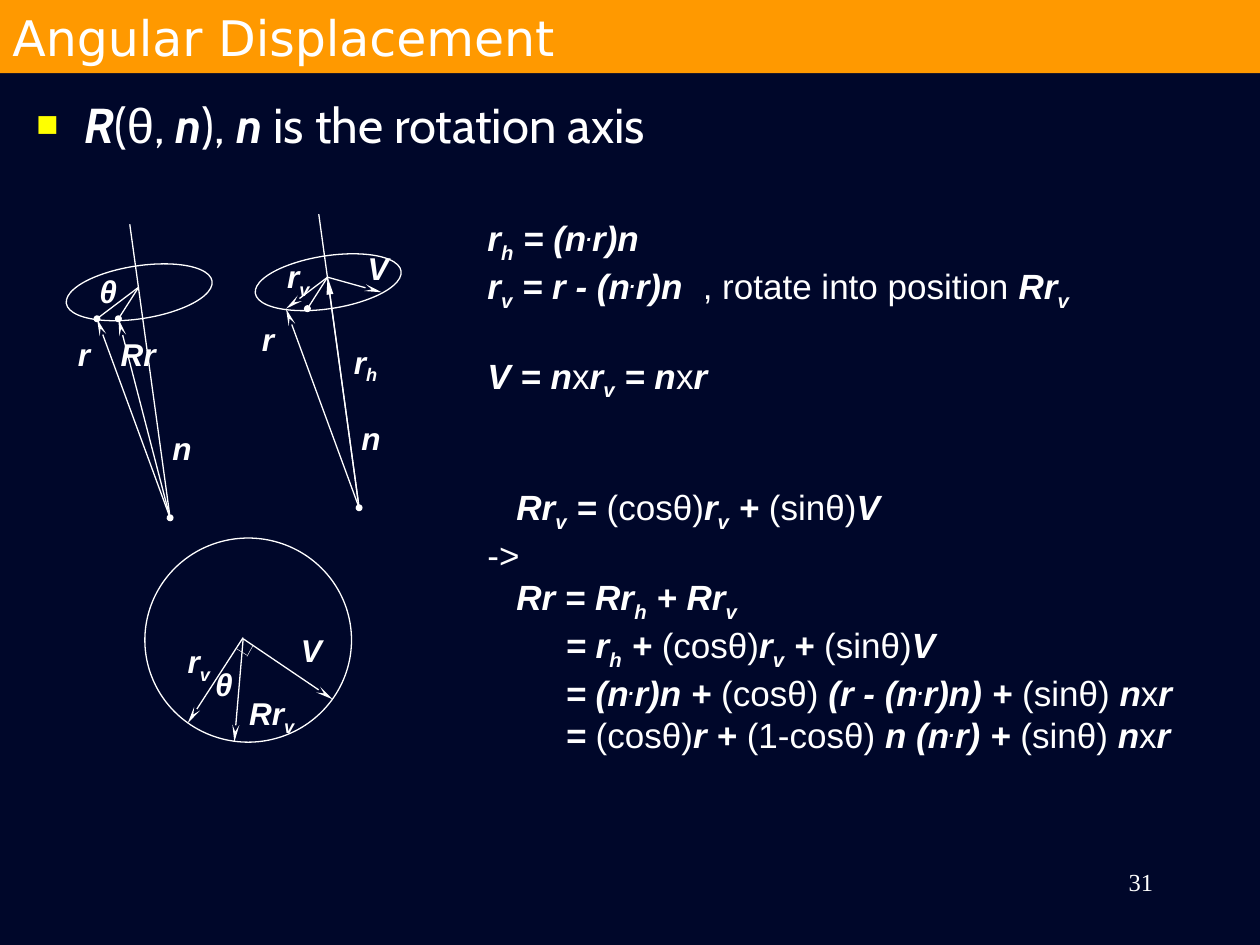
"""Build the angular displacement slide with its rotation sketches and derivation."""
from dataclasses import dataclass
from itertools import groupby
from typing import Any, Iterator, Optional

from lxml import etree
from pptx import Presentation
from pptx import util as u
from pptx.dml.color import RGBColor
from pptx.enum import shapes, text
from pptx.oxml.ns import qn

COLORS = {"night": "00072A", "banner": "FF9900", "ink": "FFFFFF", "bullet": "FFFF00"}
BASELINES = {"_": "-25000", "^": "30000"}
HEAD_LENGTHS = {"stealth": "lg", "triangle": "lg", "oval": "sm"}
FRAME = {"margin_left": u.Inches(0.1), "margin_right": u.Inches(0.1),
         "margin_top": u.Inches(0.05), "margin_bottom": u.Inches(0.05)}
FITTED = {"auto_size": text.MSO_AUTO_SIZE.SHAPE_TO_FIT_TEXT}
ROTATION_SHIFT = (1.5, -0.08)


@dataclass
class Arrow:
    """A straight line with an optional head at its end."""
    start: tuple[float, float]
    end: tuple[float, float]
    head: Optional[str] = "stealth"
    weight: float = 0.75


@dataclass
class Label:
    """A short vector or angle name."""
    math: str
    left: float
    top: float
    width: float


@dataclass
class Equation:
    """A line of the derivation, with its indent in inches and gap in points."""
    math: str
    indent: float = 0
    gap: float = 0
    tab: Optional[float] = None


ARROWS = [
    Arrow((1.35, 4.11), (0.94, 2.53)),
    Arrow((1.1, 2.28), (0.77, 2.53), "oval"),
    Arrow((2.6, 2.2), (2.27, 2.45)),
    Arrow((2.85, 4.03), (2.6, 2.2), "triangle"),
    Arrow((2.6, 2.2), (3.03, 2.32)),
    Arrow((1.93, 5.06), (1.49, 5.74)),
    Arrow((1.93, 5.07), (2.64, 5.55)),
    Arrow((1.88, 5.15), (1.96, 5.2), None, 0.25),
    Arrow((1.96, 5.21), (2.01, 5.12), None, 0.25),
    Arrow((1.93, 5.07), (1.86, 5.89)),
]
LABELS = [
    Label("r", 0.52, 2.61, 0.3), Label("Rr", 0.86, 2.61, 0.5), Label("θ", 0.69, 2.11, 0.35),
    Label("r", 1.98, 2.49, 0.3), Label("r_v", 2.18, 1.99, 0.42), Label("r_h", 2.71, 2.67, 0.42),
    Label("V", 2.82, 1.93, 0.38), Label("θ", 1.61, 5.23, 0.35), Label("r_v", 1.39, 5.05, 0.42),
    Label("V", 2.29, 4.96, 0.38), Label("Rr_v", 1.88, 5.46, 0.6),
]
DERIVATION = [
    Equation("r_h = (n^.r)n"),
    Equation("r_v = r - (n^.r)n\t|, rotate into position| Rr_v", tab=1.71),
    Equation("V = n|x|r_v = n|x|r", gap=24),
    Equation("Rr_v = |(cosθ)|r_v + |(sinθ)|V", 0.23, 48),
    Equation("|->"),
    Equation("Rr = Rr_h + Rr_v", 0.23),
    Equation("= r_h + |(cosθ)|r_v + |(sinθ)|V", 0.62),
    Equation("= (n^.r)n + |(cosθ) |(r - (n^.r)n) + |(sinθ) |n|x|r", 0.62),
    Equation("= |(cosθ)|r + |(1-cosθ) |n (n^.r) + |(sinθ) |n|x|r", 0.62),
]


def apply(target: Any, values: dict[str, Any]) -> None:
    """Set each named attribute on the target."""
    for name, value in values.items():
        setattr(target, name, value)


def styled_letters(math: str, font: str) -> Iterator[tuple[str, tuple]]:
    """Yield letters with style: bars toggle upright text, _ lowers and ^ raises one letter."""
    strong, baseline = True, None
    for letter in math:
        if letter == "|":
            strong = not strong
        elif letter in BASELINES:
            baseline = BASELINES[letter]
        else:
            yield letter, (strong, baseline, "Arial" if letter == "θ" else font)
            baseline = None


def write(paragraph: Any, math: str, size: float, font: str = "Arial") -> None:
    """Fill a paragraph with marked-up text."""
    for style, letters in groupby(styled_letters(math, font), key=lambda pair: pair[1]):
        strong, baseline, face = style
        run = paragraph.add_run()
        run.text = "".join(letter for letter, _ in letters)
        apply(run.font, {"name": face, "size": u.Pt(size), "bold": strong, "italic": strong})
        run.font.color.rgb = RGBColor.from_string(COLORS["ink"])
        if baseline:
            run.font._element.set("baseline", baseline)


def add_text(slide: Any, box: tuple, wrap: bool = True, **values: Any) -> Any:
    """Add a text box and return its frame."""
    frame = slide.shapes.add_textbox(*map(u.Inches, box)).text_frame
    apply(frame, {**FRAME, "word_wrap": wrap, **values})
    return frame


def add_outline(slide: Any, box: tuple, rotation: float = 0) -> None:
    """Draw an unfilled ellipse."""
    ellipse = slide.shapes.add_shape(shapes.MSO_SHAPE.OVAL, *map(u.Inches, box))
    ellipse.rotation = rotation
    ellipse.shadow.inherit = False
    ellipse.fill.background()
    ellipse.line.color.rgb = RGBColor.from_string(COLORS["ink"])
    ellipse.line.width = u.Pt(0.75)


def add_arrow(slide: Any, arrow: Arrow) -> None:
    """Draw a line and its head."""
    ends = map(u.Inches, (*arrow.start, *arrow.end))
    vector = slide.shapes.add_connector(shapes.MSO_CONNECTOR.STRAIGHT, *ends)
    vector.line.color.rgb = RGBColor.from_string(COLORS["ink"])
    vector.line.width = u.Pt(arrow.weight)
    if arrow.head:
        etree.SubElement(vector.line._get_or_add_ln(), qn("a:tailEnd"),
                         type=arrow.head, w="sm", len=HEAD_LENGTHS[arrow.head])
    etree.SubElement(vector._element.spPr, qn("a:effectLst"))


def add_label(slide: Any, label: Label) -> None:
    """Write a vector or angle name."""
    height = 0.44 if "_" in label.math else 0.4
    frame = add_text(slide, (label.left, label.top, label.width, height), wrap=False)
    write(frame.paragraphs[0], label.math, 18)


def add_cone(slide: Any, dx: float, dy: float) -> None:
    """Draw the parts common to both rotation cones."""
    def moved(x: float, y: float) -> tuple[float, float]:
        return x + dx, y + dy

    apex, center = moved(1.35, 4.11), moved(1.1, 2.28)
    add_arrow(slide, Arrow(moved(1.03, 1.78), apex, "oval"))
    add_outline(slide, (*moved(0.52, 2.11), 1.17, 0.42), 351.3)
    add_arrow(slide, Arrow(apex, moved(0.77, 2.53)))
    add_arrow(slide, Arrow(center, moved(0.94, 2.53), "oval"))
    add_label(slide, Label("n", *moved(1.27, 3.36), 0.37))


def add_heading(slide: Any) -> None:
    """Write the bulleted statement."""
    statement = add_text(slide, (0.19, 0.7, 8.5, 0.59)).paragraphs[0]
    layout = statement._p.get_or_add_pPr()
    for name, inches in {"marL": 0.38, "indent": -0.38}.items():
        layout.set(name, str(u.Inches(inches)))
    tint = etree.SubElement(layout, qn("a:buClr"))
    etree.SubElement(tint, qn("a:srgbClr"), val=COLORS["bullet"])
    etree.SubElement(layout, qn("a:buSzPct"), val="75000")
    etree.SubElement(layout, qn("a:buFont"), typeface="Arial")
    etree.SubElement(layout, qn("a:buChar"), char="■")
    write(statement, "R|(θ, |n|), |n| is the rotation axis", 28, "Cabin")


def add_derivation(slide: Any) -> None:
    """Write the equations."""
    frame = add_text(slide, (3.77, 1.67, 6.23, 5.18), **FITTED)
    for index, equation in enumerate(DERIVATION):
        line = frame.add_paragraph() if index else frame.paragraphs[0]
        layout = line._p.get_or_add_pPr()
        layout.set("marL", str(u.Inches(equation.indent)))
        if equation.gap:
            line.space_before = u.Pt(equation.gap)
        if equation.tab:
            stops = etree.SubElement(layout, qn("a:tabLst"))
            etree.SubElement(stops, qn("a:tab"), pos=str(u.Inches(equation.tab)), algn="l")
        write(line, equation.math, 20)


def add_banner(slide: Any) -> None:
    """Draw the title band."""
    banner = slide.shapes.add_shape(
        shapes.MSO_SHAPE.RECTANGLE, *map(u.Inches, (0, 0, 10, 0.58)))
    banner.shadow.inherit = False
    banner.fill.solid()
    banner.fill.fore_color.rgb = RGBColor.from_string(COLORS["banner"])
    banner.line.fill.background()
    apply(banner.text_frame, {**FRAME, "vertical_anchor": text.MSO_ANCHOR.MIDDLE})
    title = banner.text_frame.paragraphs[0]
    title.alignment = text.PP_ALIGN.LEFT
    write(title, "|Angular Displacement", 28, "DejaVu Sans")


def main() -> None:
    """Assemble and save the slide."""
    deck = Presentation()
    apply(deck, {"slide_width": u.Inches(10), "slide_height": u.Inches(7.5)})
    slide = deck.slides.add_slide(deck.slide_layouts[6])
    slide.background.fill.solid()
    slide.background.fill.fore_color.rgb = RGBColor.from_string(COLORS["night"])
    number = add_text(slide, (7.17, 6.83, 2.08, 0.5)).paragraphs[0]
    number.alignment = text.PP_ALIGN.RIGHT
    write(number, "|31", 14, "Times New Roman")
    add_heading(slide)
    for shift in ((0, 0), ROTATION_SHIFT):
        add_cone(slide, *shift)
    add_outline(slide, (1.15, 4.27, 1.64, 1.62))
    for arrow in ARROWS:
        add_arrow(slide, arrow)
    for label in LABELS:
        add_label(slide, label)
    add_derivation(slide)
    add_banner(slide)
    deck.save("out.pptx")


if __name__ == "__main__":
    main()
